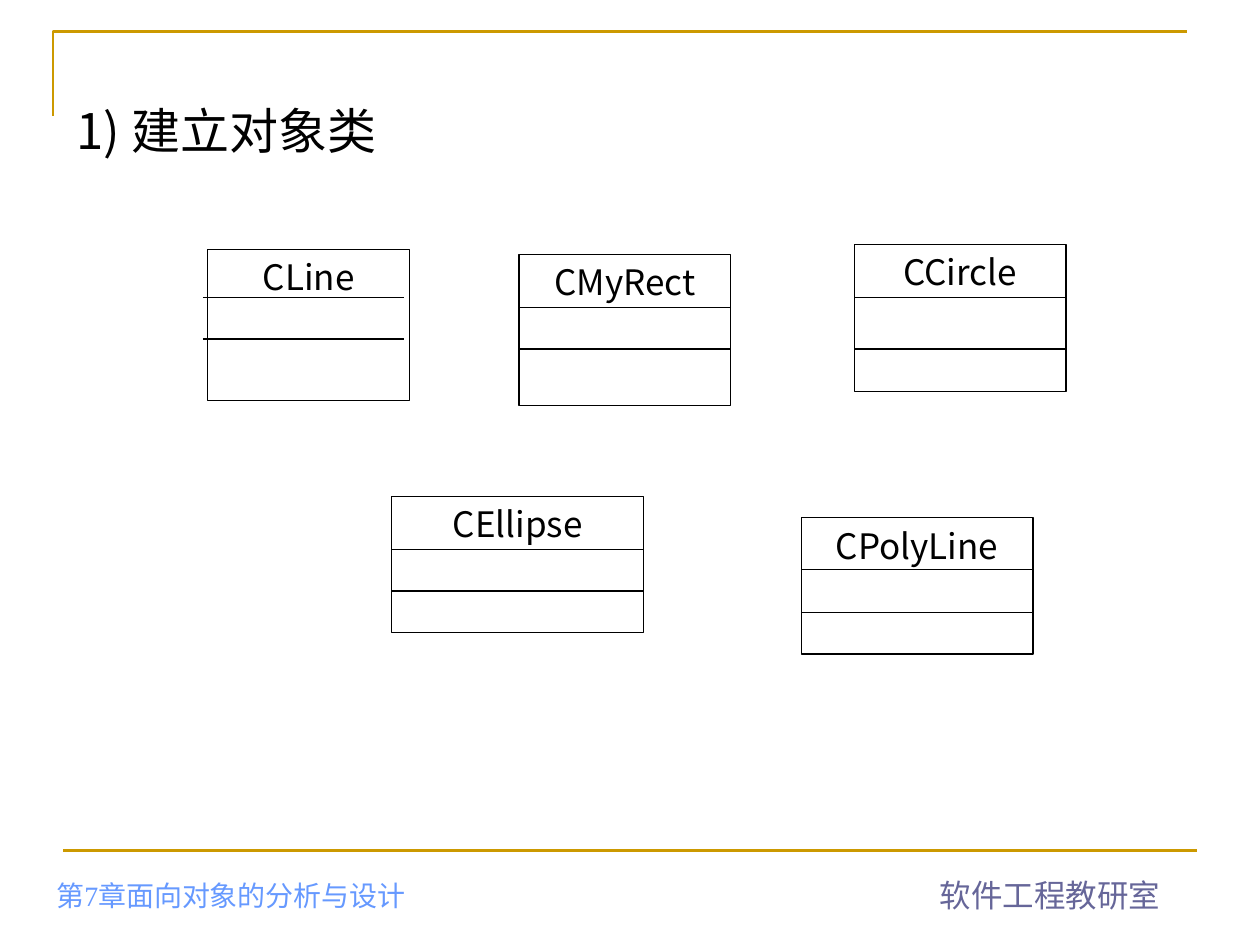
from lxml import etree
from pptx import Presentation
from pptx.dml.color import RGBColor
from pptx.enum import shapes, text
from pptx.oxml.ns import qn
from pptx.util import Inches, Pt

SANS = "Noto Sans CJK SC"
GOLD, BLACK, WHITE = "CC9900", "000000", "FFFFFF"

TITLE = "1) 建立对象类"
CHAPTER = "第7章面向对象的分析与设计"
OFFICE = "软件工程教研室"

# name, (left, top, width, height), heights of the two dividers, divider shift
CLASSES = [
    ("CLine", (1.65, 1.98, 1.6, 1.2), (2.36, 2.69), -0.04),
    ("CMyRect", (4.12, 2.02, 1.68, 1.2), (2.44, 2.77), 0),
    ("CCircle", (6.78, 1.94, 1.68, 1.17), (2.36, 2.77), 0),
    ("CEllipse", (3.11, 3.94, 2, 1.08), (4.36, 4.69), 0),
    ("CPolyLine", (6.36, 4.11, 1.84, 1.08), (4.52, 4.86), 0),
]


def rgb(value):
    return RGBColor.from_string(value)


def write(sp, content, size, color, font=SANS, align=text.PP_ALIGN.LEFT,
          anchor=text.MSO_ANCHOR.TOP, wrap=True):
    tf = sp.text_frame
    tf.word_wrap = wrap
    tf.vertical_anchor = anchor
    p = tf.paragraphs[0]
    p.alignment = align
    r = p.add_run()
    r.text = content
    r.font.name, r.font.size = font, Pt(size)
    r.font.color.rgb = rgb(color)


def outline(sp, color, width):
    sp.line.color.rgb = rgb(color)
    sp.line.width = Pt(width)


def add_rule(s, left, right, y, color=BLACK, width=0.75):
    """Draw a horizontal line without a shadow."""
    line = s.shapes.add_connector(shapes.MSO_CONNECTOR.STRAIGHT,
                                  *map(Inches, (left, y, right, y)))
    outline(line, color, width)
    etree.SubElement(line._element.spPr, qn("a:effectLst"))


def add_corner(s):
    builder = s.shapes.build_freeform(Inches(0.42), Inches(0.92))
    builder.add_line_segments([(Inches(0.42), Inches(0.25)),
                               (Inches(9.42), Inches(0.25))], close=False)
    corner = builder.convert_to_shape()
    corner.fill.background()
    corner.shadow.inherit = False
    outline(corner, GOLD, 1.5)


def add_class(s, name, box, dividers, shift):
    sp = s.shapes.add_shape(shapes.MSO_SHAPE.RECTANGLE, *map(Inches, box))
    sp.shadow.inherit = False
    sp.fill.solid()
    sp.fill.fore_color.rgb = rgb(WHITE)
    outline(sp, BLACK, 0.75)
    write(sp, name, 20, BLACK, align=text.PP_ALIGN.CENTER)
    left = box[0] + shift
    for y in dividers:
        add_rule(s, left, left + box[2], y)


def main():
    prs = Presentation()
    prs.slide_width, prs.slide_height = Inches(10), Inches(7.5)
    s = prs.slides.add_slide(prs.slide_layouts[5])

    add_corner(s)
    add_rule(s, 0.5, 9.5, 6.75, GOLD, 1.5)
    office = s.shapes.add_textbox(*map(Inches, (7.36, 6.9, 1.95, 0.4)))
    write(office, OFFICE, 18, "666699", font="Arial", wrap=False)
    chapter = s.shapes.add_textbox(*map(Inches, (0.35, 6.98, 4.1, 0.31)))
    write(chapter, CHAPTER, 16, "6699FF", font="Times New Roman",
          anchor=text.MSO_ANCHOR.BOTTOM)

    title = s.shapes.title
    title.left, title.top, title.width, title.height = map(
        Inches, (0.51, 0.75, 4.65, 0.57))
    write(title, TITLE, 28, BLACK)
    title.text_frame.auto_size = text.MSO_AUTO_SIZE.NONE

    for item in CLASSES:
        add_class(s, *item)

    prs.save("out.pptx")


if __name__ == "__main__":
    main()
